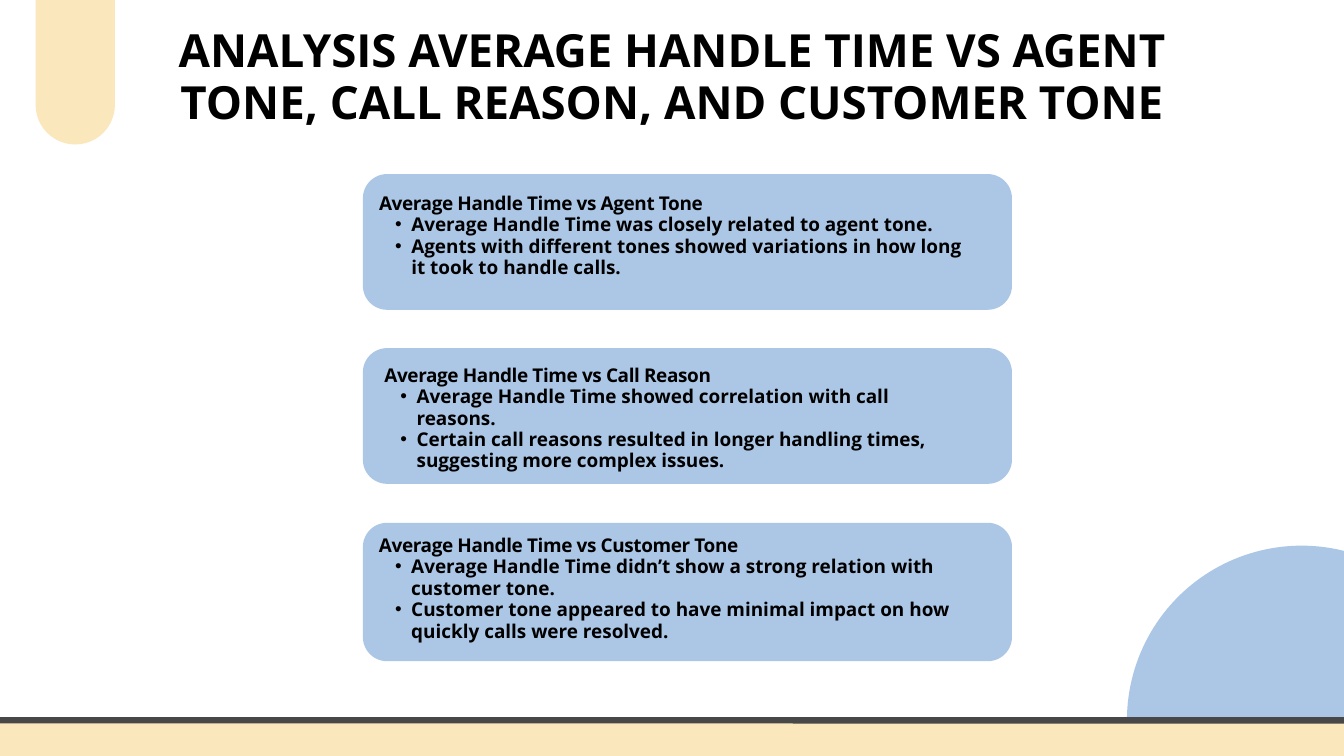
from lxml import etree
from pptx import Presentation
from pptx.dml.color import RGBColor
from pptx.enum.shapes import MSO_SHAPE as Preset
from pptx.enum.text import MSO_AUTO_SIZE as AutoSize, PP_ALIGN as Align
from pptx.oxml.ns import qn
from pptx.util import Emu, Pt

PX = 9144  # 100 px to the inch
WIDTH, HEIGHT = 2000, 1125
BLUE, CREAM, GREY, BLACK = "ACC7E6", "FAE7BC", "494848", "000000"
FONT = "Open Sans"

TITLE = "ANALYSIS AVERAGE HANDLE TIME VS AGENT TONE, CALL REASON, AND CUSTOMER TONE"

# Card box, text box relative to the card, heading, bullets
CARDS = [
    ((540, 259, 966, 202), (24, 28, 871, 157), "Average Handle Time vs Agent Tone", [
        "Average Handle Time was closely related to agent tone.",
        "Agents with different tones showed variations in how long it took to handle calls.",
    ]),
    ((540, 518, 966, 202), (32, 25, 856, 188), "Average Handle Time vs Call Reason", [
        "Average Handle Time showed correlation with call reasons.",
        "Certain call reasons resulted in longer handling times, suggesting more complex issues.",
    ]),
    ((540, 778, 966, 206), (24, 18, 864, 188), "Average Handle Time vs Customer Tone", [
        "Average Handle Time didn’t show a strong relation with customer tone.",
        "Customer tone appeared to have minimal impact on how quickly calls were resolved.",
    ]),
]


def px(value):
    return Emu(value * PX)


def color(hex_string):
    return RGBColor.from_string(hex_string)


def add_block(slide, preset, box, fill, radius=None):
    """Add a borderless filled shape; radius is the corner radius in px."""
    shape = slide.shapes.add_shape(preset, *map(px, box))
    shape.shadow.inherit = False
    shape.fill.solid()
    shape.fill.fore_color.rgb = color(fill)
    shape.line.fill.background()
    if radius is not None:
        shape.adjustments[0] = radius / min(box[2:])
    return shape


def add_text_frame(slide, box):
    frame = slide.shapes.add_textbox(*map(px, box)).text_frame
    frame.margin_left = frame.margin_top = frame.margin_right = frame.margin_bottom = 0
    frame.word_wrap = True
    frame.auto_size = AutoSize.SHAPE_TO_FIT_TEXT
    return frame


def add_run(paragraph, text, size, line_spacing):
    paragraph.line_spacing = Pt(line_spacing)
    run = paragraph.add_run()
    run.text = text
    run.font.name = FONT
    run.font.size = Pt(size)
    run.font.bold = True
    run.font.color.rgb = color(BLACK)
    return run


def make_bullet(paragraph):
    paragraph.level = 1
    properties = paragraph._p.get_or_add_pPr()
    properties.set("marL", str(px(48)))
    properties.set("indent", str(px(-24)))
    etree.SubElement(properties, qn("a:buFont")).set("typeface", "Arial")
    etree.SubElement(properties, qn("a:buChar")).set("char", "•")


def add_title(slide, box):
    paragraph = add_text_frame(slide, box).paragraphs[0]
    paragraph.alignment = Align.CENTER
    add_run(paragraph, TITLE, 48.9, 55.3)


def add_card(slide, box, text_box, heading, bullets):
    left, top = box[:2]
    add_block(slide, Preset.ROUNDED_RECTANGLE, box, BLUE, radius=36)
    dx, dy, width, height = text_box
    frame = add_text_frame(slide, (left + dx, top + dy, width, height))
    run = add_run(frame.paragraphs[0], heading, 20.3, 22.9)
    run.font._element.set("spc", "-40")
    for bullet in bullets:
        paragraph = frame.add_paragraph()
        make_bullet(paragraph)
        add_run(paragraph, bullet, 20.3, 22.9)


def add_footer(slide, box):
    bar = add_block(slide, Preset.ROUNDED_RECTANGLE, box, CREAM, radius=9)
    bar.line.color.rgb = color(GREY)
    bar.line.width = Pt(6.75)


def main():
    presentation = Presentation()
    presentation.slide_width, presentation.slide_height = px(WIDTH), px(HEIGHT)
    slide = presentation.slides.add_slide(presentation.slide_layouts[6])

    add_block(slide, Preset.OVAL, (1677, 812, 520, 520), BLUE)
    for card in CARDS:
        add_card(slide, *card)
    add_title(slide, (214, 38, 1572, 153))
    add_block(slide, Preset.ROUNDED_RECTANGLE, (53, -108, 118, 323), CREAM, radius=59)
    add_footer(slide, (-58, 1072, 2116, 90))

    presentation.save("out.pptx")


if __name__ == "__main__":
    main()
